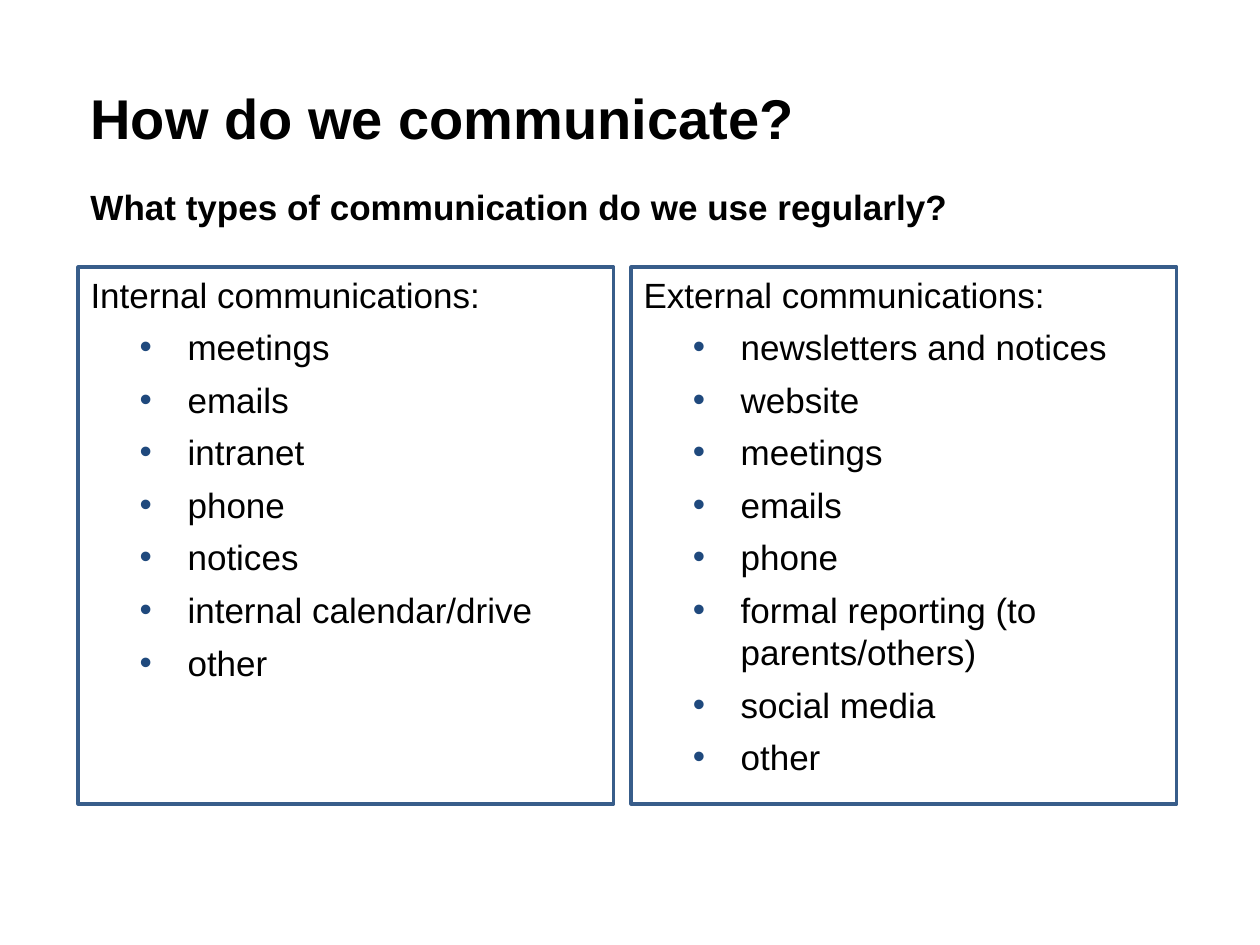
from dataclasses import dataclass

from lxml.etree import SubElement
from pptx import Presentation
from pptx.dml.color import RGBColor
from pptx.enum.shapes import MSO_SHAPE
from pptx.enum.text import MSO_ANCHOR, PP_ALIGN
from pptx.oxml.ns import qn
from pptx.util import Inches, Pt

# Content
TITLE = "How do we communicate?"
QUESTION = "What types of communication do we use regularly?"
PANELS = [
    ("Internal communications:",
     ["meetings", "emails", "intranet", "phone", "notices",
      "internal calendar/drive", "other"]),
    ("External communications:",
     ["newsletters and notices", "website", "meetings", "emails", "phone",
      "formal reporting (to parents/others)", "social media", "other"]),
]


@dataclass(frozen=True)
class Theme:
    font: str = "Arial"
    title_size: int = 32
    body_size: int = 20
    text: str = "000000"
    bullet: str = "1F497D"
    border: str = "385D8A"
    border_width: int = 2
    para_gap: int = 6


THEME = Theme()

# Layout in inches: one left margin, two columns with a gutter
PAGE_WIDTH, PAGE_HEIGHT = 10, 7.5
MARGIN = 0.62
GUTTER = 0.14
COLUMN_WIDTHS = (4.25, 4.33)
PANEL_TOP, PANEL_HEIGHT = 2.12, 4.26
TITLE_BOX = (MARGIN, 0.34, 8.98, 1.18)
QUESTION_BOX = (MARGIN, 1.42, 8.66, 0.44)
BULLET_INDENT, BULLET_HANG = 0.77, 0.38


def add_bullet(para):
    """Give a paragraph a hanging, coloured bullet."""
    properties = para._p.get_or_add_pPr()
    properties.set("marL", str(Inches(BULLET_INDENT)))
    properties.set("indent", str(-Inches(BULLET_HANG)))
    color = SubElement(properties, qn("a:buClr"))
    SubElement(color, qn("a:srgbClr")).set("val", THEME.bullet)
    SubElement(properties, qn("a:buFont")).set("typeface", THEME.font)
    SubElement(properties, qn("a:buChar")).set("char", "•")


def write(para, text, size=THEME.body_size, bold=False, gap=0, bullet=False):
    """Put formatted text into a paragraph."""
    para.alignment = PP_ALIGN.LEFT
    para.space_after = Pt(gap)
    if bullet:
        add_bullet(para)
    span = para.add_run()
    span.text = text
    span.font.name = THEME.font
    span.font.size = Pt(size)
    span.font.bold = bold
    span.font.color.rgb = RGBColor.from_string(THEME.text)


def add_heading(page, text, place, anchor=MSO_ANCHOR.TOP, **style):
    box = page.shapes.add_textbox(*map(Inches, place))
    box.text_frame.word_wrap = True
    box.text_frame.vertical_anchor = anchor
    write(box.text_frame.paragraphs[0], text, bold=True, **style)


def add_panel(page, heading, items, left, width):
    """Draw an outlined panel with a heading and bulleted items."""
    box = page.shapes.add_shape(
        MSO_SHAPE.RECTANGLE,
        *map(Inches, (left, PANEL_TOP, width, PANEL_HEIGHT)))
    box.shadow.inherit = False
    box.fill.background()
    box.line.color.rgb = RGBColor.from_string(THEME.border)
    box.line.width = Pt(THEME.border_width)
    frame = box.text_frame
    frame.word_wrap = True
    frame.vertical_anchor = MSO_ANCHOR.TOP
    write(frame.paragraphs[0], heading, gap=THEME.para_gap)
    for item in items:
        write(frame.add_paragraph(), item, gap=THEME.para_gap, bullet=True)


def main():
    deck = Presentation()
    deck.slide_width, deck.slide_height = Inches(PAGE_WIDTH), Inches(PAGE_HEIGHT)
    page = deck.slides.add_slide(deck.slide_layouts[6])

    # Headings
    add_heading(page, TITLE, TITLE_BOX, MSO_ANCHOR.MIDDLE, size=THEME.title_size)
    add_heading(page, QUESTION, QUESTION_BOX)

    # Panels, side by side
    left = MARGIN
    for (heading, items), width in zip(PANELS, COLUMN_WIDTHS):
        add_panel(page, heading, items, left, width)
        left += width + GUTTER

    deck.save("out.pptx")


if __name__ == "__main__":
    main()
